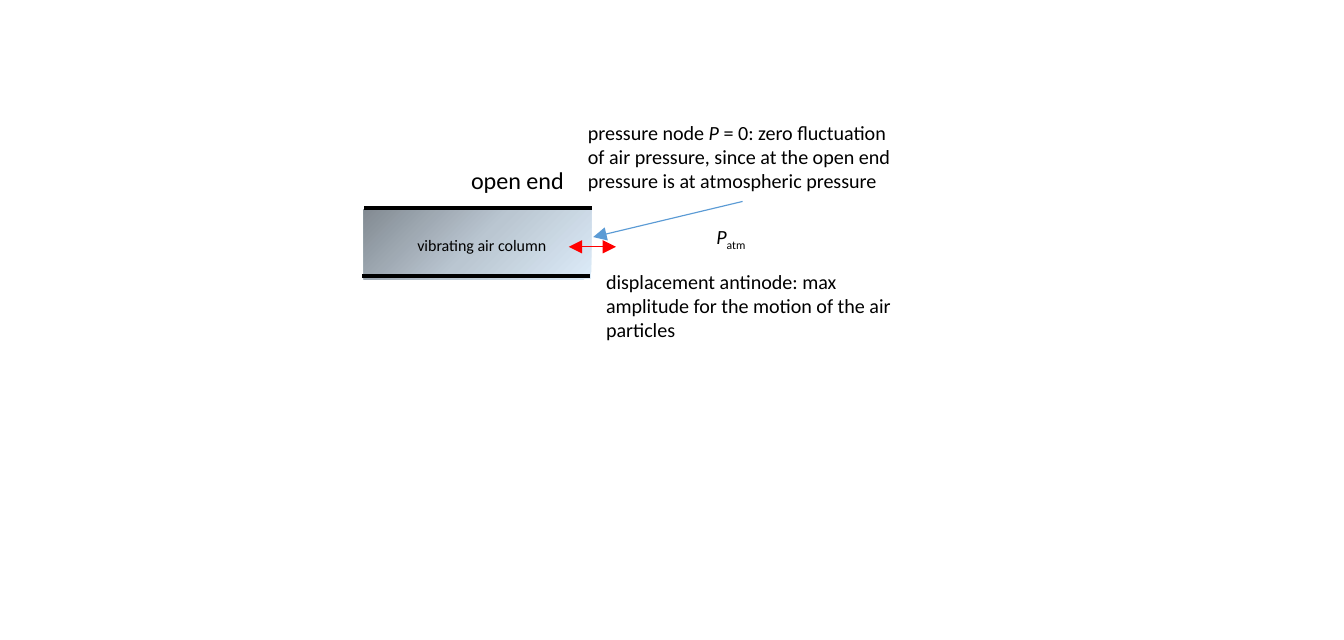
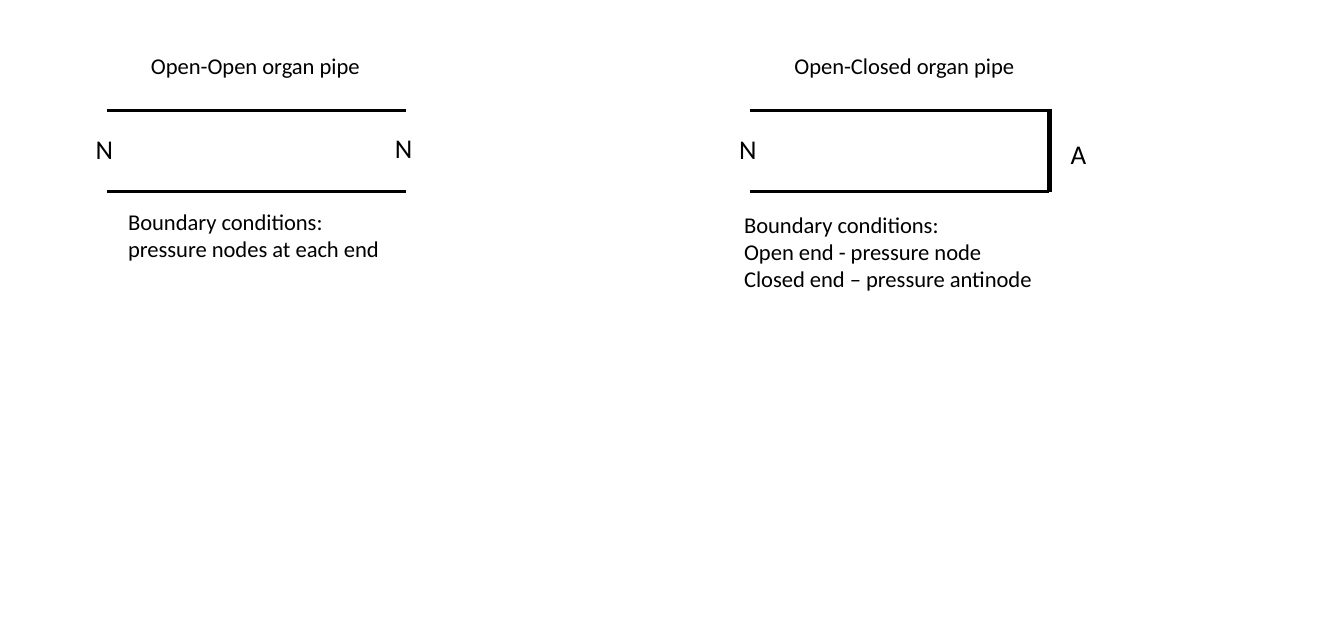
from dataclasses import dataclass

import pptx
import pptx.dml.color
import pptx.enum.shapes
import pptx.enum.text
import pptx.oxml
import pptx.oxml.ns
import pptx.util

Pt = pptx.util.Pt
RGB = pptx.dml.color.RGBColor


@dataclass(frozen=True)
class Theme:
    font: str = "Calibri"
    ink: str = "000000"
    motion: str = "FF0000"
    pointer: str = "5B9BD5"
    air: tuple[str, ...] = ("838B93", "BAC6D1", "DCEBF8")
    small: float = 7.1
    note: float = 8.9
    body: float = 10
    heading: float = 10.7
    mark: float = 12
    thin: float = 0.5
    pipe: float = 1.5
    wall: float = 2.25


THEME = Theme()


@dataclass(frozen=True)
class Run:
    text: str
    italic: bool = False
    subscript: bool = False


@dataclass(frozen=True)
class Label:
    left: float
    top: float
    width: float
    height: float
    size: float
    paragraphs: tuple[tuple[Run, ...], ...]
    wrap: bool = False


@dataclass(frozen=True)
class Line:
    x1: float
    y1: float
    x2: float
    y2: float
    color: str = THEME.ink
    width: float = THEME.pipe
    ends: tuple[str, ...] = ()


@dataclass(frozen=True)
class Pipe:
    left: float
    caption: Label
    marks: tuple[Label, ...]
    conditions: Label
    closed: bool = False


PIPE_LENGTH, PIPE_TOP, PIPE_BOTTOM = 132.3, 49, 85


def plain(*lines: str) -> tuple[tuple[Run, ...], ...]:
    return tuple((Run(line),) for line in lines)


def end_mark(left: float, top: float, letter: str) -> Label:
    return Label(left, top, 22.3, 21.6, THEME.mark, plain(letter))


def add_label(slide, label: Label) -> None:
    box = slide.shapes.add_textbox(
        Pt(label.left), Pt(label.top), Pt(label.width), Pt(label.height))
    tf = box.text_frame
    tf.word_wrap = label.wrap
    tf.auto_size = pptx.enum.text.MSO_AUTO_SIZE.SHAPE_TO_FIT_TEXT
    for i, runs in enumerate(label.paragraphs):
        p = tf.add_paragraph() if i else tf.paragraphs[0]
        for run in runs:
            r = p.add_run()
            r.text = run.text
            r.font.name = THEME.font
            r.font.size = Pt(label.size)
            r.font.color.rgb = RGB.from_string(THEME.ink)
            r.font.italic = run.italic
            if run.subscript:
                r.font._element.set("baseline", "-25000")


def add_line(slide, line: Line) -> None:
    cxn = slide.shapes.add_connector(
        pptx.enum.shapes.MSO_CONNECTOR.STRAIGHT,
        Pt(line.x1), Pt(line.y1), Pt(line.x2), Pt(line.y2))
    cxn.line.color.rgb = RGB.from_string(line.color)
    cxn.line.width = Pt(line.width)
    ln = cxn.line._get_or_add_ln()
    for end in line.ends:
        ln.append(pptx.oxml.parse_xml(
            f'<a:{end} {pptx.oxml.ns.nsdecls("a")} type="triangle"/>'))
    cxn._element.spPr.append(pptx.oxml.parse_xml(
        f'<a:effectLst {pptx.oxml.ns.nsdecls("a")}/>'))


def add_air_column(slide, left: float, top: float, width: float, height: float) -> None:
    sp = slide.shapes.add_shape(
        pptx.enum.shapes.MSO_SHAPE.RECTANGLE, Pt(left), Pt(top), Pt(width), Pt(height))
    sp.shadow.inherit = False
    sp.line.fill.background()
    sp.fill.background()
    stops = "".join(
        f'<a:gs pos="{i * 50000}"><a:srgbClr val="{color}"/></a:gs>'
        for i, color in enumerate(THEME.air))
    spPr = sp._element.spPr
    spPr.replace(spPr.find(pptx.oxml.ns.qn("a:noFill")), pptx.oxml.parse_xml(
        f'<a:gradFill {pptx.oxml.ns.nsdecls("a")} rotWithShape="1">'
        f'<a:gsLst>{stops}</a:gsLst><a:path path="circle">'
        '<a:fillToRect r="100000" b="100000"/></a:path></a:gradFill>'))


def add_pipe(slide, pipe: Pipe) -> None:
    right = pipe.left + PIPE_LENGTH
    for y in (PIPE_TOP, PIPE_BOTTOM):
        add_line(slide, Line(pipe.left, y, right, y))
    if pipe.closed:
        add_line(slide, Line(right + 0.5, PIPE_TOP - 0.8, right + 0.5, PIPE_BOTTOM,
                             width=THEME.wall))
    for label in (pipe.caption, *pipe.marks, pipe.conditions):
        add_label(slide, label)


def open_end_slide(slide) -> None:
    add_air_column(slide, 161.3, 92.9, 100.8, 31)
    for line in (
        Line(161.3, 92.2, 262.1, 92.2),
        Line(160.6, 122.4, 261.4, 122.4),
        Line(252, 109.4, 272.9, 109.4, THEME.motion, THEME.thin, ("headEnd", "tailEnd")),
        Line(329, 89.3, 262.8, 105.1, THEME.pointer, THEME.thin, ("tailEnd",)),
    ):
        add_line(slide, line)
    for label in (
        Label(261.4, 115.9, 150.5, 39.6, THEME.note, plain(
            "displacement antinode: max amplitude for the motion of the air particles"),
            wrap=True),
        Label(253.4, 49.7, 150.5, 39.6, THEME.note, ((
            Run("pressure node "), Run("P", italic=True),
            Run(" = 0: zero fluctuation of air pressure, since at the open end "
                "pressure is at atmospheric pressure")),), wrap=True),
        Label(201.6, 69.8, 56.2, 20.2, THEME.heading, plain("open end")),
        Label(177.8, 100.8, 72.7, 15.8, THEME.small, plain("vibrating air column")),
        Label(310.3, 95.8, 28.8, 18, THEME.note, ((
            Run("P", italic=True), Run("atm", subscript=True)),)),
    ):
        add_label(slide, label)


def organ_pipes_slide(slide) -> None:
    for pipe in (
        Pipe(47.5,
             Label(59.8, 19.4, 108.7, 19.4, THEME.body, plain("Open-Open organ pipe")),
             (end_mark(35.3, 55.4, "N"), end_mark(167.8, 54.7, "N")),
             Label(49.7, 88.6, 127.4, 31.7, THEME.body, plain(
                 "Boundary conditions:", "pressure nodes at each end"))),
        Pipe(332.3,
             Label(344.9, 19.4, 113, 19.4, THEME.body, plain("Open-Closed organ pipe")),
             (end_mark(320.4, 55.4, "N"), end_mark(467.3, 57.6, "A")),
             Label(322.6, 90, 149, 43.9, THEME.body, plain(
                 "Boundary conditions:", "Open end - pressure node",
                 "Closed end – pressure antinode")),
             closed=True),
    ):
        add_pipe(slide, pipe)


def main() -> None:
    prs = pptx.Presentation()
    prs.slide_width, prs.slide_height = Pt(595.44), Pt(283.68)
    blank = prs.slide_layouts[6]
    for build in (open_end_slide, organ_pipes_slide):
        build(prs.slides.add_slide(blank))
    prs.save("out.pptx")


if __name__ == "__main__":
    main()
